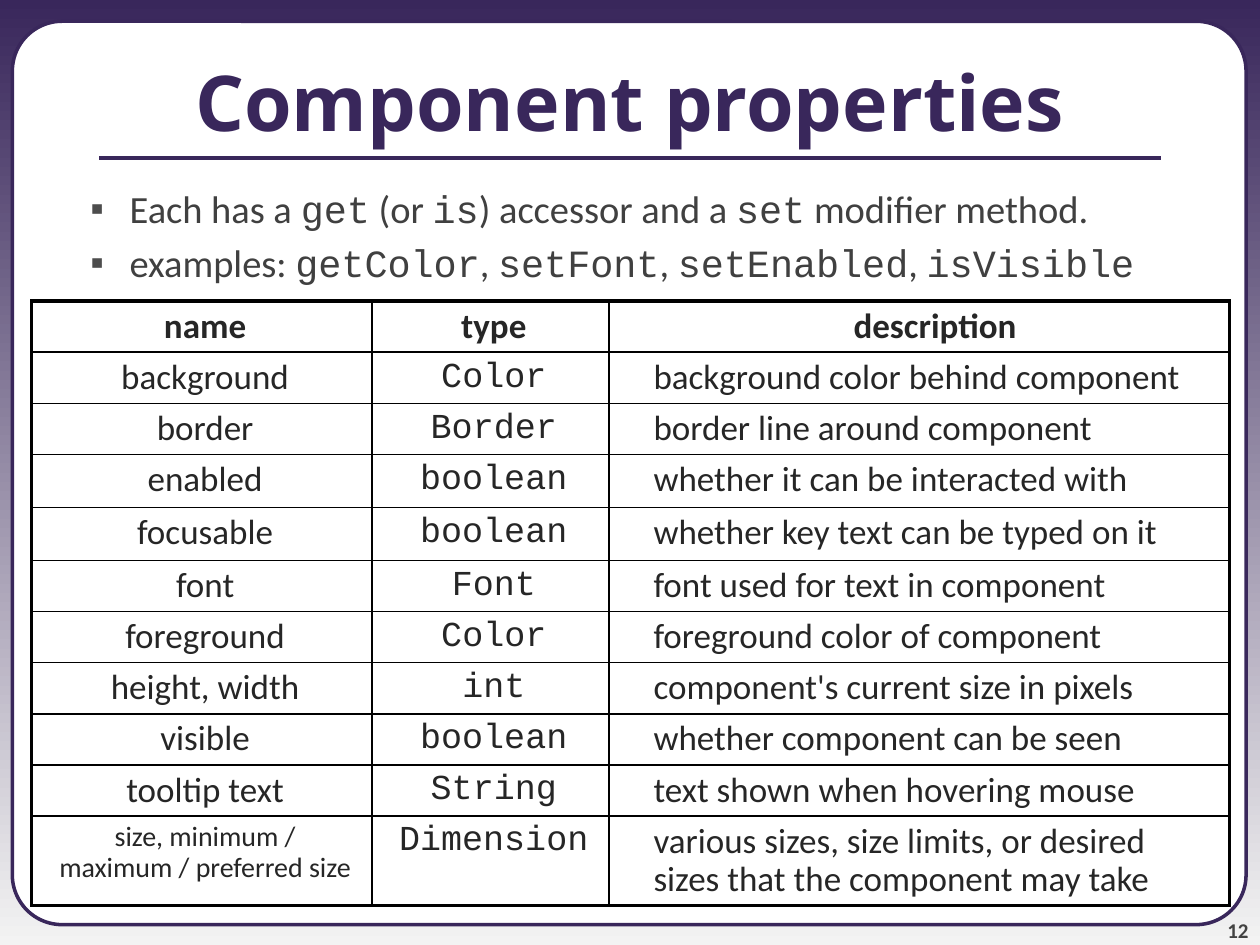
from lxml import etree
from pptx import Presentation
from pptx import util as u
from pptx.dml.color import RGBColor
from pptx.enum import shapes, text
from pptx.oxml.ns import qn

PURPLE = RGBColor(0x39, 0x27, 0x5B)
PALE = RGBColor(0xF3, 0xF3, 0xF3)
WHITE = RGBColor(0xFF, 0xFF, 0xFF)
BLACK = RGBColor(0x00, 0x00, 0x00)
BODY_GRAY = RGBColor(0x40, 0x40, 0x40)
BULLET_GRAY = RGBColor(0x4D, 0x4D, 0x4D)
NUMBER_GRAY = RGBColor(0x42, 0x42, 0x42)
CELL_GRAY = RGBColor(0x26, 0x26, 0x26)

SANS, CODE, TITLE_FONT = "Calibri", "Courier New", "Noto Sans"
THIN, THICK = 1, 2.25
CENTER, LEFT = text.PP_ALIGN.CENTER, text.PP_ALIGN.LEFT

# Runs alternate between sans and code, starting with sans.
BULLETS = [
    ["Each has a ", "get", " (or ", "is", ") accessor and a ", "set",
     " modifier method."],
    ["examples: ", "getColor", ", ", "setFont", ", ", "setEnabled", ", ",
     "isVisible"],
]

COLUMN_WIDTHS = [6.86, 4.78, 12.5]
ROW_HEIGHTS = [1.03] * 3 + [1.07] * 2 + [1.03] * 5 + [1.8]
PROPERTIES = [
    ("name", "type", "description"),
    ("background", "Color", "background color behind component"),
    ("border", "Border", "border line around component"),
    ("enabled", "boolean", "whether it can be interacted with"),
    ("focusable", "boolean", "whether key text can be typed on it"),
    ("font", "Font", "font used for text in component"),
    ("foreground", "Color", "foreground color of component"),
    ("height, width", "int", "component's current size in pixels"),
    ("visible", "boolean", "whether component can be seen"),
    ("tooltip text", "String", "text shown when hovering mouse"),
    ("size, minimum / maximum / preferred size", "Dimension",
     "various sizes, size limits, or desired sizes that the component may take"),
]


def add_run(paragraph, words, font, size, color, bold=False):
    run = paragraph.add_run()
    run.text = words
    run.font.name = font
    run.font.size = u.Pt(size)
    run.font.color.rgb = color
    run.font.bold = bold


def place(shape, left, top, width, height):
    shape.left, shape.top = u.Cm(left), u.Cm(top)
    shape.width, shape.height = u.Cm(width), u.Cm(height)


def set_indent(paragraph, left, first=0):
    properties = paragraph._p.get_or_add_pPr()
    properties.set("marL", str(u.Cm(left)))
    properties.set("indent", str(u.Cm(first)))
    return properties


def set_bullet(paragraph):
    properties = set_indent(paragraph, 2.36, -0.79)
    color = etree.SubElement(properties, qn("a:buClr"))
    etree.SubElement(color, qn("a:srgbClr"), val=str(BULLET_GRAY))
    etree.SubElement(properties, qn("a:buFont"), typeface="Arial")
    etree.SubElement(properties, qn("a:buChar"), char="▪")


def set_borders(cell, **widths):
    """Draw black borders; the keys are L, R, T and B, the values points."""
    properties = cell._tc.get_or_add_tcPr()
    for index, side in enumerate("LRTB"):
        line = etree.Element(qn(f"a:ln{side}"), w=str(u.Pt(widths[side])))
        fill = etree.SubElement(line, qn("a:solidFill"))
        etree.SubElement(fill, qn("a:srgbClr"), val=str(BLACK))
        properties.insert(index, line)


def paint_background(slide):
    fill = slide.background.fill
    fill.gradient()
    fill.gradient_angle = 270
    for stop, color in zip(fill.gradient_stops, (PURPLE, PALE)):
        stop.color.rgb = color


def add_frame(slide):
    """Add the rounded white panel behind everything else."""
    frame = slide.shapes.add_shape(
        shapes.MSO_SHAPE.ROUNDED_RECTANGLE,
        u.Cm(0.25), u.Cm(0.43), u.Cm(24.87), u.Cm(18.21))
    frame.adjustments[0] = 0.055
    frame.shadow.inherit = False
    frame.fill.solid()
    frame.fill.fore_color.rgb = WHITE
    frame.line.color.rgb = PURPLE
    frame.line.width = u.Pt(2)
    slide.shapes._spTree.insert(2, frame._element)


def add_title_rule(slide):
    rule = slide.shapes.add_connector(
        shapes.MSO_CONNECTOR.STRAIGHT,
        u.Cm(2), u.Cm(3.18), u.Cm(23.4), u.Cm(3.18))
    rule.line.color.rgb = PURPLE
    rule.line.width = u.Pt(2.25)
    etree.SubElement(rule._element.spPr, qn("a:effectLst"))


def add_slide_number(slide):
    box = slide.shapes.add_textbox(
        u.Cm(23.06), u.Cm(17.98), u.Cm(2.11), u.Cm(1.02))
    frame = box.text_frame
    frame.word_wrap = True
    frame.vertical_anchor = text.MSO_ANCHOR.BOTTOM
    frame.margin_left = frame.margin_right = 0
    frame.margin_top = frame.margin_bottom = 0
    paragraph = frame.paragraphs[0]
    paragraph.alignment = text.PP_ALIGN.RIGHT
    add_run(paragraph, "12", SANS, 12, NUMBER_GRAY, bold=True)


def fill_title(title):
    place(title, 0, 0.43, 25.4, 3.18)
    frame = title.text_frame
    frame.auto_size = text.MSO_AUTO_SIZE.NONE
    frame.vertical_anchor = text.MSO_ANCHOR.MIDDLE
    paragraph = frame.paragraphs[0]
    paragraph.alignment = CENTER
    add_run(paragraph, "Component properties", TITLE_FONT, 44, PURPLE, bold=True)


def fill_body(body):
    place(body, 0, 3.61, 25.4, 15.44)
    frame = body.text_frame
    frame.auto_size = text.MSO_AUTO_SIZE.NONE
    for index, pieces in enumerate(BULLETS):
        paragraph = frame.add_paragraph() if index else frame.paragraphs[0]
        paragraph.level = 1
        set_bullet(paragraph)
        paragraph.space_before = u.Pt(4.4 if index else 0)
        for position, words in enumerate(pieces):
            font = CODE if position % 2 else SANS
            add_run(paragraph, words, font, 22, BODY_GRAY)


def fill_cell(cell, words, row, column):
    header, last_row = row == 0, row == len(PROPERTIES) - 1
    description = column == 2
    cell.fill.background()
    set_borders(cell, L=THICK if column == 0 else THIN,
                R=THICK if description else THIN,
                T=THICK if header else THIN,
                B=THICK if last_row else THIN)
    paragraph = cell.text_frame.paragraphs[0]
    set_indent(paragraph, 0.64 if description else 0.13)
    paragraph.alignment = LEFT if description and not header else CENTER
    paragraph.line_spacing = 0.9
    font = CODE if column == 1 and not header else SANS
    size = 16 if last_row and column == 0 else 20
    add_run(paragraph, words, font, size, CELL_GRAY, bold=header)


def add_property_table(slide):
    table = slide.shapes.add_table(
        len(PROPERTIES), len(COLUMN_WIDTHS), u.Cm(0.64), u.Cm(6.07),
        u.Cm(sum(COLUMN_WIDTHS)), u.Cm(sum(ROW_HEIGHTS))).table
    table.first_row = table.horz_banding = False
    for column, width in zip(table.columns, COLUMN_WIDTHS):
        column.width = u.Cm(width)
    for row, height in zip(table.rows, ROW_HEIGHTS):
        row.height = u.Cm(height)
    for row, entries in enumerate(PROPERTIES):
        for column, words in enumerate(entries):
            fill_cell(table.cell(row, column), words, row, column)


def main():
    presentation = Presentation()
    presentation.slide_width, presentation.slide_height = u.Cm(25.4), u.Cm(19.05)
    slide = presentation.slides.add_slide(presentation.slide_layouts[1])
    paint_background(slide)
    add_frame(slide)
    add_slide_number(slide)
    add_title_rule(slide)
    fill_title(slide.shapes.title)
    fill_body(slide.placeholders[1])
    add_property_table(slide)
    presentation.save("out.pptx")


if __name__ == "__main__":
    main()
